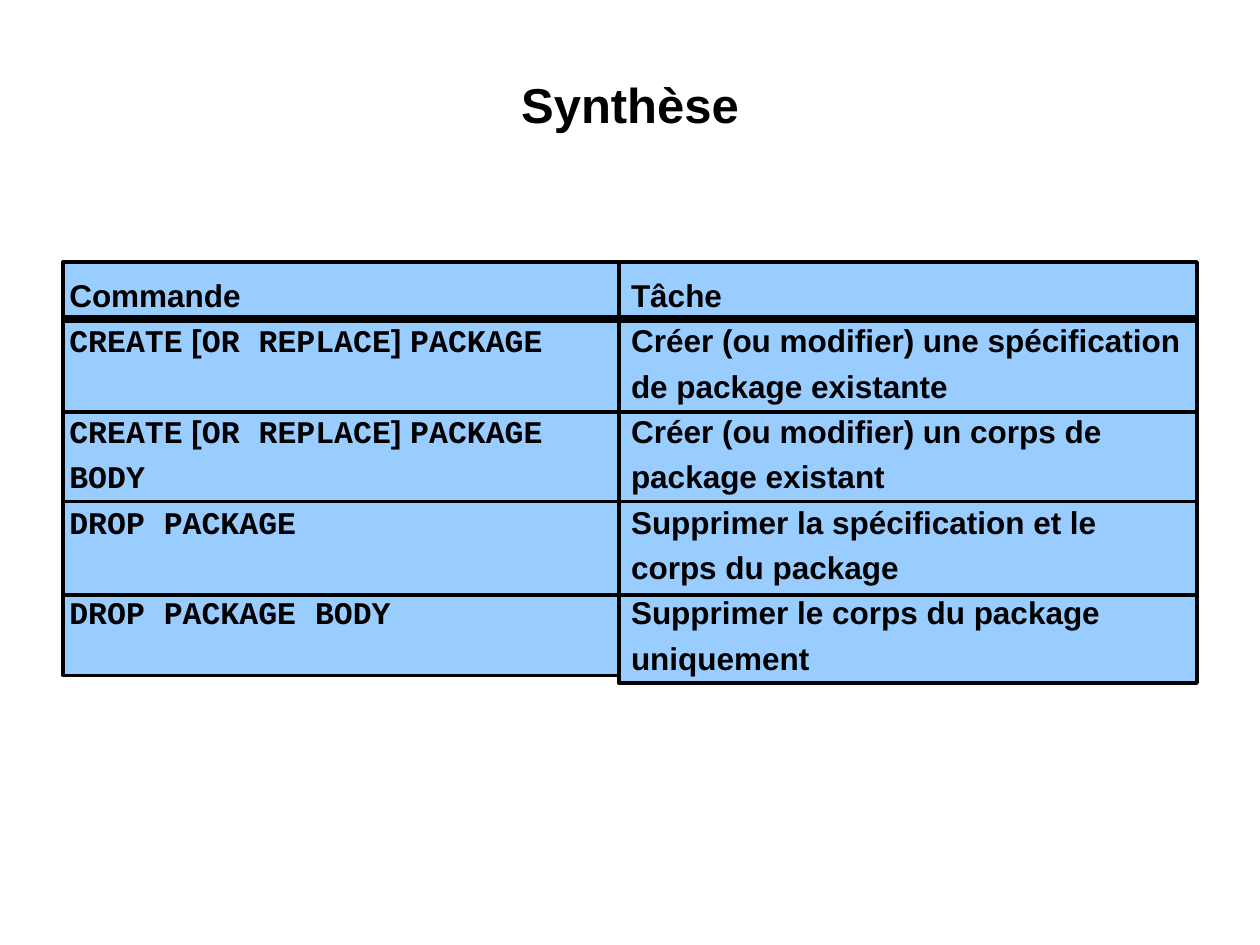
from pptx import Presentation
from pptx.dml.color import RGBColor
from pptx.enum.shapes import MSO_CONNECTOR, MSO_SHAPE
from pptx.enum.text import MSO_ANCHOR, PP_ALIGN
from pptx.oxml.ns import qn
from pptx.util import Pt
from lxml import etree

RECTANGLE = MSO_SHAPE.RECTANGLE
STRAIGHT = MSO_CONNECTOR.STRAIGHT
TOP = MSO_ANCHOR.TOP
LEFT, CENTER = PP_ALIGN.LEFT, PP_ALIGN.CENTER

COLORS = {"ink": "000000", "panel": "99CCFF"}
SANS, MONO = "Arial", "Courier New"
TITLE = "Synthèse"
BLANK_LINE = 25.9

CREATE = [("CREATE", MONO), (" [", SANS), ("OR REPLACE", MONO), ("] ", SANS)]
COMMANDS = [
    (0, [("Commande", SANS)]),
    (0, CREATE + [("PACKAGE", MONO)]),
    (BLANK_LINE, CREATE + [("PACKAGE BODY", MONO)]),
    (0, [("DROP PACKAGE", MONO)]),
    (BLANK_LINE, [("DROP PACKAGE BODY", MONO)]),
]
TASKS = [(0, [(text, SANS)]) for text in (
    "Tâche",
    "Créer (ou modifier) une spécification de package existante",
    "Créer (ou modifier) un corps de package existant",
    "Supprimer la spécification et le corps du package",
    "Supprimer le corps du package uniquement",
)]

TABLE_LEFT, TABLE_TOP = 36, 149.8
COLUMNS = [
    {"width": 317.5, "height": 236.2, "inset": 3.6, "entries": COMMANDS},
    {"width": 330.5, "height": 240.5, "inset": 7.2, "entries": TASKS},
]
RULES = [(182.2, 4.5), (235.4, 2.25), (286.6, 2.25), (339.8, 2.25)]


def color(name):
    return RGBColor.from_string(COLORS[name])


def style_line(line, width):
    line.color.rgb = color("ink")
    line.width = Pt(width)


def set_frame(text_frame, horizontal, vertical):
    text_frame.word_wrap = True
    text_frame.vertical_anchor = TOP
    text_frame.margin_left = text_frame.margin_right = Pt(horizontal)
    text_frame.margin_top = text_frame.margin_bottom = Pt(vertical)


def style_font(font, name, size):
    font.name = name
    font.size = Pt(size)
    font.bold = True
    font.color.rgb = color("ink")


def add_column(slide, left, column):
    shape = slide.shapes.add_shape(
        RECTANGLE, Pt(left), Pt(TABLE_TOP), Pt(column["width"]), Pt(column["height"]))
    shape.shadow.inherit = False
    shape.fill.solid()
    shape.fill.fore_color.rgb = color("panel")
    style_line(shape.line, 2.25)
    text_frame = shape.text_frame
    set_frame(text_frame, column["inset"], 3.6)
    for index, (gap, pieces) in enumerate(column["entries"]):
        paragraph = text_frame.add_paragraph() if index else text_frame.paragraphs[0]
        paragraph.alignment = LEFT
        paragraph.line_spacing = 1.2
        paragraph.space_before = Pt(gap)
        for text, font_name in pieces:
            run = paragraph.add_run()
            run.text = text
            style_font(run.font, font_name, 18)


def add_rule(slide, left, right, y, width):
    rule = slide.shapes.add_connector(STRAIGHT, Pt(left), Pt(y), Pt(right), Pt(y))
    style_line(rule.line, width)
    properties = rule._element.spPr
    etree.SubElement(properties, qn("a:effectLst"))


def add_title(slide):
    text_frame = slide.shapes.add_textbox(Pt(72), Pt(41.8), Pt(576), Pt(69)).text_frame
    set_frame(text_frame, 0.7, 0.7)
    text_frame.text = TITLE
    paragraph = text_frame.paragraphs[0]
    paragraph.alignment = CENTER
    style_font(paragraph.runs[0].font, SANS, 28)


def main():
    presentation = Presentation()
    presentation.slide_width, presentation.slide_height = Pt(720), Pt(540)
    slide = presentation.slides.add_slide(presentation.slide_layouts[6])
    left = TABLE_LEFT
    for column in COLUMNS:
        add_column(slide, left, column)
        left += column["width"]
    for y, width in RULES:
        add_rule(slide, TABLE_LEFT, left, y, width)
    add_title(slide)
    presentation.save("out.pptx")


if __name__ == "__main__":
    main()
